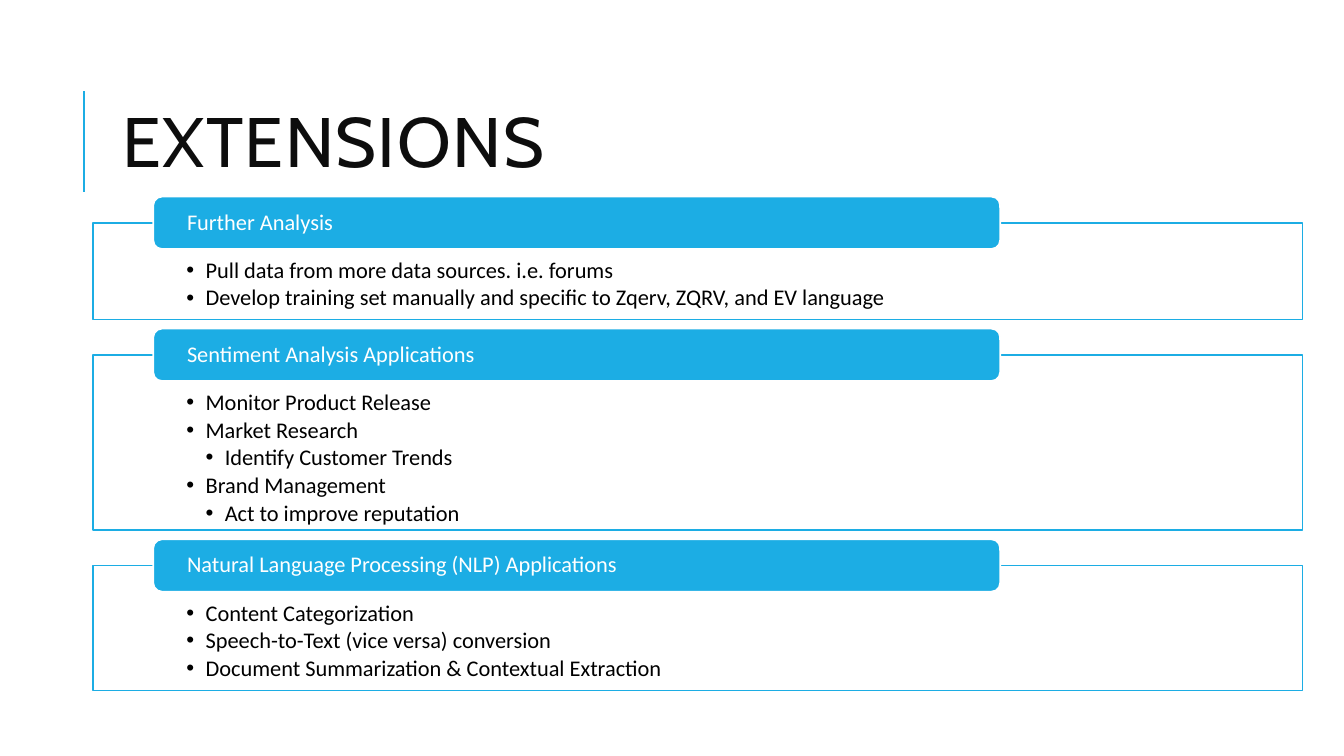
from pptx import Presentation
from pptx.dml.color import RGBColor
from pptx.enum.shapes import MSO_CONNECTOR, MSO_SHAPE
from pptx.enum.text import MSO_ANCHOR, PP_ALIGN
from pptx.oxml.ns import qn
from pptx.util import Inches, Pt
from lxml.etree import SubElement

HUES = {"blue": "1CADE4", "white": "FFFFFF", "black": "000000", "ink": "0D0D0D"}
FONTS = {
    "title": {"name": "Cabin", "size": Pt(50), "color": "ink"},
    "tab": {"name": "Calibri", "size": Pt(16), "color": "white"},
    "item": {"name": "Calibri", "size": Pt(16), "color": "black"},
}
PARTS = [
    ("Further Analysis", 0.96, [
        (1, "Pull data from more data sources. i.e. forums"),
        (1, "Develop training set manually and specific to Zqerv, ZQRV, and EV language"),
    ]),
    ("Sentiment Analysis Applications", 1.74, [
        (1, "Monitor Product Release"),
        (1, "Market Research"),
        (2, "Identify Customer Trends"),
        (1, "Brand Management"),
        (2, "Act to improve reputation"),
    ]),
    ("Natural Language Processing (NLP) Applications", 1.24, [
        (1, "Content Categorization"),
        (1, "Speech-to-Text (vice versa) conversion"),
        (1, "Document Summarization & Contextual Extraction"),
    ]),
]
GAP = 0.35
STEP = 0.19


def hue(name):
    return RGBColor.from_string(HUES[name])


def set_font(font, style):
    for key, val in FONTS[style].items():
        if key == "color":
            font.color.rgb = hue(val)
        else:
            setattr(font, key, val)


def set_frame(frame, anchor, pads):
    frame.word_wrap = True
    frame.vertical_anchor = anchor
    sides = ("left", "top", "right", "bottom")
    for side, pad in zip(sides, pads):
        setattr(frame, f"margin_{side}", Inches(pad))


def set_line(para, text, style, space, after=0):
    form = {"alignment": PP_ALIGN.LEFT, "line_spacing": space, "space_after": Pt(after)}
    for key, val in form.items():
        setattr(para, key, val)
    run = para.add_run()
    run.text = text
    set_font(run.font, style)
    return run


def add_mark(para, level):
    para.level = level
    props = para._p.get_or_add_pPr()
    props.set("marL", str(Inches(STEP * level)))
    props.set("indent", str(-Inches(STEP)))
    SubElement(props, qn("a:buFont")).set("typeface", "Arial")
    SubElement(props, qn("a:buChar")).set("char", "•")


def add_block(slide, kind, box, fill, edge):
    shape = slide.shapes.add_shape(kind, *map(Inches, box))
    shape.shadow.inherit = False
    shape.fill.solid()
    shape.fill.fore_color.rgb = hue(fill)
    shape.line.color.rgb = hue(edge)
    shape.line.width = Pt(1.25)
    return shape


def add_title(slide, left, top, width, height):
    rule = slide.shapes.add_connector(
        MSO_CONNECTOR.STRAIGHT, *map(Inches, (left, top + 1.26, left, top + 0.26)))
    rule.line.color.rgb = hue("blue")
    rule.line.width = Pt(1.5)
    SubElement(rule._element.spPr, qn("a:effectLst"))
    area = slide.shapes.add_textbox(*map(Inches, (left + 0.29, top, width - 0.29, height)))
    set_frame(area.text_frame, MSO_ANCHOR.MIDDLE, (0.1, 0.05, 0.1, 0.05))
    run = set_line(area.text_frame.paragraphs[0], "EXTENSIONS", "title", 0.8)
    run.font._element.set("spc", "100")


def add_part(slide, left, top, width, height, head, items):
    body = add_block(slide, MSO_SHAPE.RECTANGLE, (left, top, width, height), "white", "blue")
    frame = body.text_frame
    set_frame(frame, MSO_ANCHOR.TOP, (0.93, 0.36, 0.93, 0.12))
    for num, (level, text) in enumerate(items):
        para = frame.add_paragraph() if num else frame.paragraphs[0]
        set_line(para, text, "item", 0.9, 2.5)
        add_mark(para, level)
    tab = add_block(slide, MSO_SHAPE.ROUNDED_RECTANGLE,
                    (left + width * 0.05, top - 0.26, width * 0.7, 0.52), "blue", "white")
    set_frame(tab.text_frame, MSO_ANCHOR.MIDDLE, (0.31, 0, 0.31, 0))
    set_line(tab.text_frame.paragraphs[0], head, "tab", 0.9)


def main():
    deck = Presentation()
    deck.slide_width = Inches(13.33)
    deck.slide_height = Inches(7.5)
    slide = deck.slides.add_slide(deck.slide_layouts[6])
    add_title(slide, 0.83, 0.64, 10.92, 1.64)
    top = 2.21
    for head, height, items in PARTS:
        add_part(slide, 0.92, top, 12, height, head, items)
        top += height + GAP
    deck.save("out.pptx")


if __name__ == "__main__":
    main()
